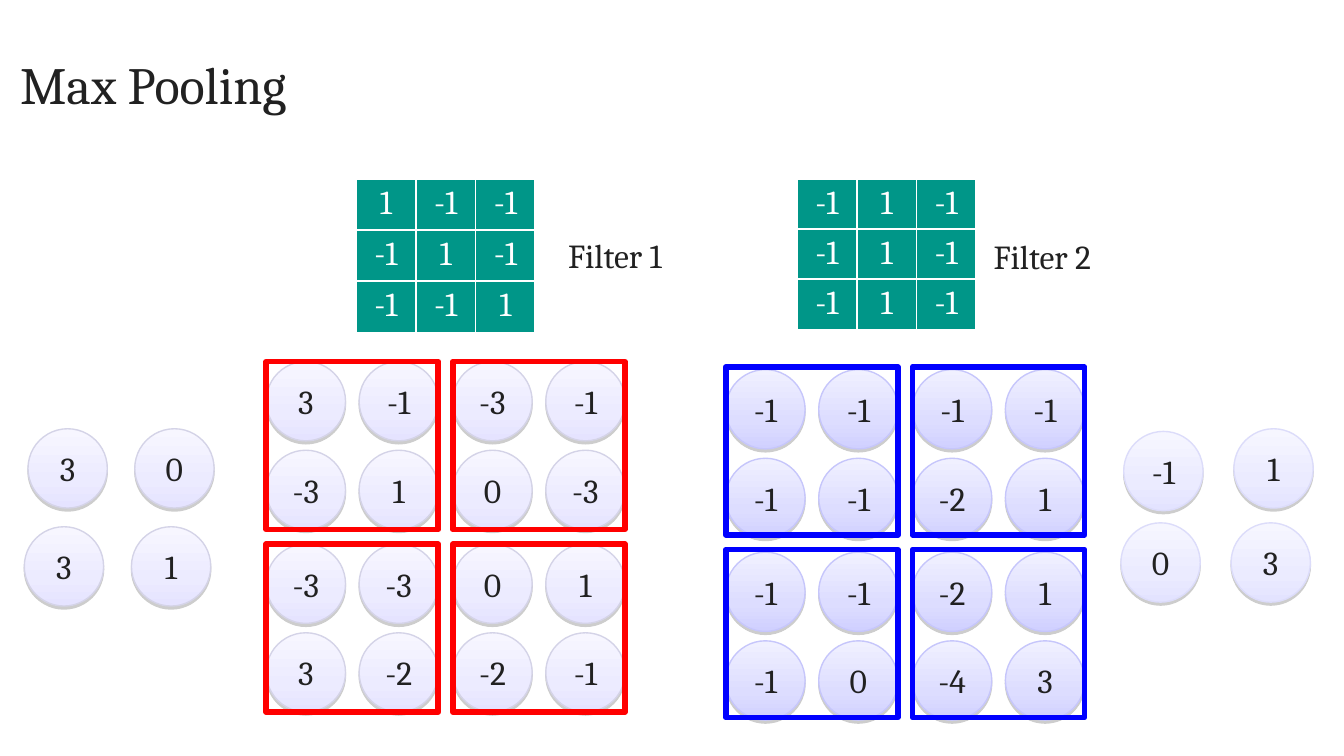
import pptx
import pptx.dml.color
import pptx.enum.shapes
import pptx.enum.text
import pptx.oxml
import pptx.oxml.ns
import pptx.util

Pt = pptx.util.Pt
SHAPE = pptx.enum.shapes.MSO_SHAPE
ALIGN = pptx.enum.text.PP_ALIGN
ANCHOR = pptx.enum.text.MSO_ANCHOR
DRAWING = 'xmlns:a="http://schemas.openxmlformats.org/drawingml/2006/main"'

# Each palette: gradient stops at 0, 65 and 100 %, then the outline
PALE = ("F7F6FF", "ECEBFF", "E5E3FF", "D4D3E7")
VIOLET = ("F0F0FF", "DDDDFF", "D0D0FF", "C6C6FB")
LIGHT = ("F6F6FF", "EBEBFF", "E3E3FF", "DCDCFA")

DIAMETER = 42.5
POOL_PITCH = (100, 97.8)    # from one 2 x 2 window to the next
INNER_PITCH = (49.8, 47.5)  # between circles inside a window
WINDOW = (92.2, 90)


def color(value):
    return pptx.dml.color.RGBColor.from_string(value)


def xml(text):
    return pptx.oxml.parse_xml(text)


class Page:
    font = "Cambria"
    ink = "212121"
    text_size = 18

    def __init__(self, deck):
        self.slide = deck.slides.add_slide(deck.slide_layouts[5])

    def put_text(self, frame, text, size=text_size, ink=ink, align=ALIGN.CENTER):
        frame.text = text
        for para in frame.paragraphs:
            para.alignment = align
            for span in para.runs:
                span.font.name = self.font
                span.font.size = Pt(size)
                span.font.color.rgb = color(ink)

    def title(self, text, left, top, width, height):
        box = self.slide.shapes.title
        box.left, box.top, box.width, box.height = map(Pt, (left, top, width, height))
        frame = box.text_frame
        frame.margin_left = frame.margin_right = Pt(5)
        frame.margin_top = frame.margin_bottom = Pt(3)
        frame.vertical_anchor = ANCHOR.MIDDLE
        self.put_text(frame, text, size=28, align=ALIGN.LEFT)

    def label(self, text, left, top):
        box = self.slide.shapes.add_textbox(Pt(left), Pt(top), Pt(85.7), Pt(28.8))
        box.text_frame.word_wrap = True
        self.put_text(box.text_frame, text)

    def circle(self, shapes, text, left, top, palette):
        *stops, outline = palette
        box = shapes.add_shape(SHAPE.OVAL, Pt(left), Pt(top), Pt(DIAMETER), Pt(DIAMETER))
        box.line.color.rgb = color(outline)
        box.line.width = Pt(0.75)
        box.shadow.inherit = False
        gradient = "".join(
            f'<a:gs pos="{position}000"><a:srgbClr val="{stop}"/></a:gs>'
            for position, stop in zip((0, 65, 100), stops))
        properties = box.element.spPr
        properties.find(pptx.oxml.ns.qn("a:ln")).addprevious(xml(
            f'<a:gradFill {DRAWING} rotWithShape="1"><a:gsLst>{gradient}</a:gsLst>'
            '<a:lin ang="5400000" scaled="0"/></a:gradFill>'))
        properties.find(pptx.oxml.ns.qn("a:effectLst")).append(xml(
            f'<a:outerShdw {DRAWING} blurRad="0" dist="{Pt(1.6)}" dir="5400000" '
            'rotWithShape="0"><a:srgbClr val="808080"><a:alpha val="38000"/>'
            '</a:srgbClr></a:outerShdw>'))
        frame = box.text_frame
        frame.margin_left = frame.margin_right = 0
        frame.margin_top = frame.margin_bottom = 0
        frame.word_wrap = False
        frame.vertical_anchor = ANCHOR.MIDDLE
        self.put_text(frame, text)

    def feature_map(self, rows, left, top, palette):
        """Draw a 4 x 4 map whose circles stand in 2 x 2 windows."""
        for row, values in enumerate(rows):
            for column, value in enumerate(values.split()):
                x = left + column // 2 * POOL_PITCH[0] + column % 2 * INNER_PITCH[0]
                y = top + row // 2 * POOL_PITCH[1] + row % 2 * INNER_PITCH[1]
                self.circle(self.slide.shapes, value, x, y, palette)

    def windows(self, left, top, outline):
        for row in range(2):
            for column in range(2):
                box = self.slide.shapes.add_shape(
                    SHAPE.RECTANGLE,
                    Pt(left + column * POOL_PITCH[0]), Pt(top + row * POOL_PITCH[1]),
                    Pt(WINDOW[0]), Pt(WINDOW[1]))
                box.shadow.inherit = False
                box.fill.background()
                box.line.color.rgb = color(outline)
                box.line.width = Pt(3)

    def pooled(self, circles, palette):
        group = self.slide.shapes.add_group_shape()
        for value, left, top in circles:
            self.circle(group.shapes, value, left, top, palette)

    def filter_table(self, rows, left, top):
        frame = self.slide.shapes.add_table(3, 3, Pt(left), Pt(top), Pt(96), Pt(80.7))
        table = frame.table
        for column in table.columns:
            column.width = Pt(32)
        for row, values in zip(table.rows, rows):
            row.height = Pt(26.9)
            for cell, value in zip(row.cells, values.split()):
                cell.margin_left = cell.margin_right = Pt(5.8)
                cell.margin_top = cell.margin_bottom = Pt(2.9)
                cell.fill.solid()
                cell.fill.fore_color.rgb = color("009688")
                self.put_text(cell.text_frame, value, ink="FFFFFF")
                properties = cell._tc.get_or_add_tcPr()
                for place, side in enumerate("LRTB"):
                    properties.insert(place, xml(
                        f'<a:ln{side} {DRAWING} w="{Pt(1)}"><a:solidFill>'
                        f'<a:srgbClr val="FFFFFF"/></a:solidFill></a:ln{side}>'))


def main():
    deck = pptx.Presentation()
    deck.slide_width, deck.slide_height = Pt(720), Pt(405)
    page = Page(deck)
    page.title("Max Pooling", 5.8, 5.8, 465.8, 78.5)

    page.feature_map(("3 -1 -3 -1", "-3 1 0 -3", "-3 -3 0 1", "3 -2 -2 -1"),
                     142.6, 193.7, PALE)
    page.filter_table(["-1 1 -1"] * 3, 427, 95.8)
    page.label("Filter 2", 515.5, 123.1)
    page.feature_map(("-1 -1 -1 -1", "-1 -1 -2 1", "-1 -1 -2 1", "-1 0 -4 3"),
                     388.8, 198, VIOLET)
    page.filter_table(("1 -1 -1", "-1 1 -1", "-1 -1 1"), 190.8, 95.8)
    page.label("Filter 1", 286.6, 122.4)

    page.windows(142.6, 193.7, "FF0000")
    page.windows(388.8, 196.6, "0000FF")

    page.pooled((("3", 15, 229.7), ("0", 72.2, 229.7),
                 ("1", 70.4, 282.2), ("3", 13, 282.2)), PALE)
    page.pooled((("-1", 602, 231.1), ("1", 661, 229.7),
                 ("3", 659.5, 280.1), ("0", 600.5, 280.1)), LIGHT)

    deck.save("out.pptx")


if __name__ == "__main__":
    main()
